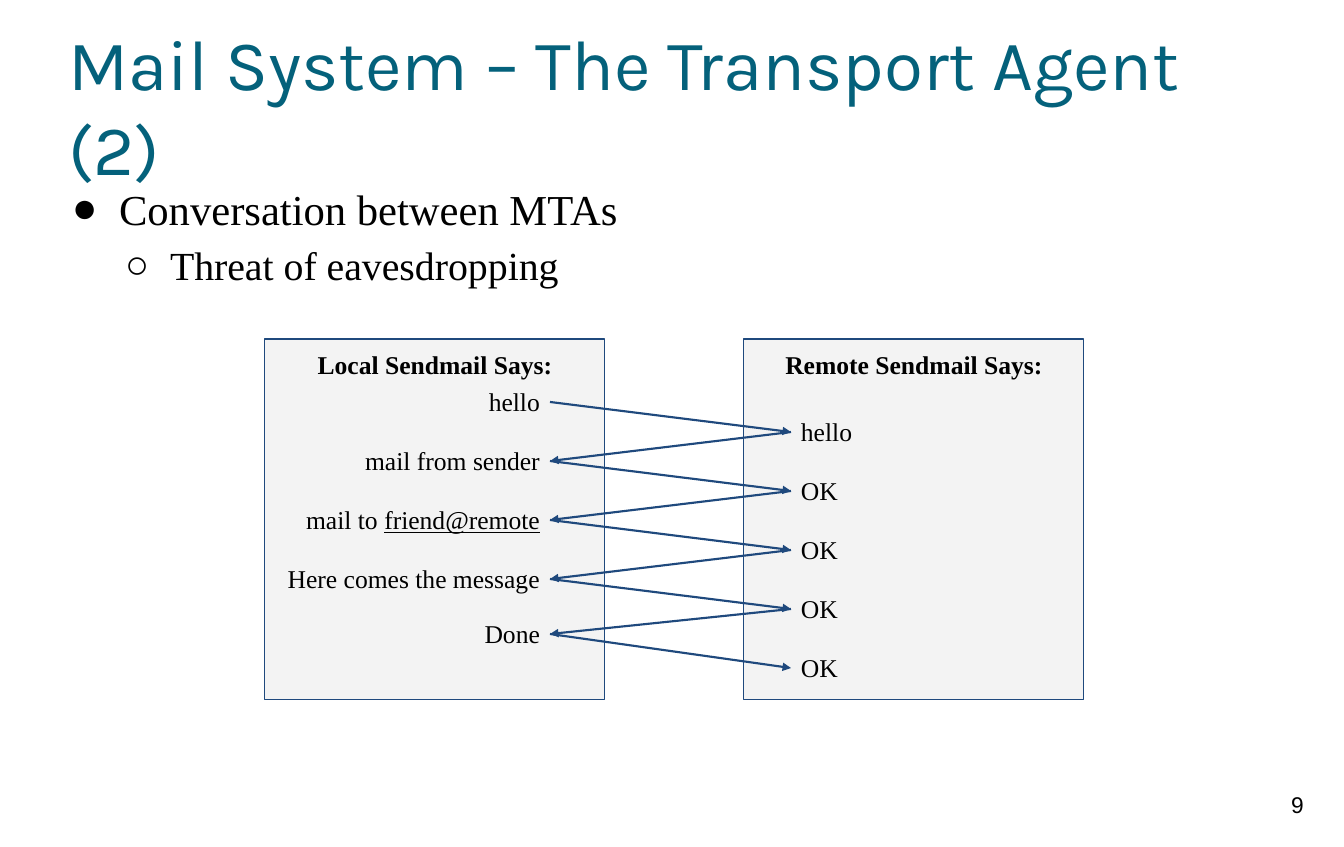
"""Build the slide on the conversation between mail transport agents."""
from dataclasses import dataclass
from itertools import chain, pairwise

from lxml.etree import SubElement
from pptx import Presentation
from pptx.dml.color import RGBColor as Rgb
from pptx.enum.shapes import MSO_CONNECTOR as Connector, MSO_SHAPE as Shape
from pptx.enum.text import MSO_ANCHOR as Anchor, MSO_AUTO_SIZE as AutoSize, PP_ALIGN as Align
from pptx.oxml.ns import qn
from pptx.util import Pt


@dataclass(frozen=True)
class Theme:
    title: Rgb = Rgb(0x04, 0x61, 0x7B)
    text: Rgb = Rgb(0, 0, 0)
    panel: Rgb = Rgb(0xF3, 0xF3, 0xF3)
    line: Rgb = Rgb(0x1F, 0x49, 0x7D)
    title_font: str = "Karla"
    text_font: str = "Times New Roman"
    number_font: str = "Arial"
    title_size: int = 50
    bullet_sizes: tuple = (30, 28)
    label_size: int = 18
    number_size: int = 16


THEME = Theme()
PX = 8930


def set_frame(shape, inset, anchor=Anchor.TOP):
    frame = shape.text_frame
    frame.word_wrap = True
    frame.auto_size = AutoSize.NONE
    frame.vertical_anchor = anchor
    frame.margin_left = frame.margin_right = inset * PX
    frame.margin_top = frame.margin_bottom = inset * PX
    return frame


def add_text(paragraph, text, size, font=THEME.text_font, color=THEME.text, align=Align.LEFT):
    paragraph.alignment = align
    run = paragraph.add_run()
    run.text = text
    run.font.size = Pt(size)
    run.font.name = font
    run.font.color.rgb = color
    return run


presentation = Presentation()
presentation.slide_width = 1344 * PX
presentation.slide_height = 847 * PX
slide = presentation.slides.add_slide(presentation.slide_layouts[1])
shapes = slide.shapes

title = shapes.title
title.left, title.top, title.width, title.height = 68 * PX, 34 * PX, 1209 * PX, 141 * PX
frame = set_frame(title, 0, Anchor.MIDDLE)
add_text(frame.paragraphs[0], "Mail System – The Transport Agent (2)",
         THEME.title_size, THEME.title_font, THEME.title)

body = slide.placeholders[1]
body.left, body.top, body.width, body.height = 68 * PX, 175 * PX, 1212 * PX, 108 * PX
frame = set_frame(body, 0)
bullets = [("Conversation between MTAs", "●", 51, -47), ("Threat of eavesdropping", "○", 102, -45)]
for level, (text, mark, margin, indent) in enumerate(bullets):
    paragraph = frame.add_paragraph() if level else frame.paragraphs[0]
    paragraph.level = level
    paragraph.line_spacing = 1.15
    paragraph.space_before = Pt(0)
    properties = paragraph._p.get_or_add_pPr()
    properties.set("marL", str(margin * PX))
    properties.set("indent", str(indent * PX))
    bullet_color = SubElement(properties, qn("a:buClr"))
    SubElement(bullet_color, qn("a:srgbClr"), val=str(THEME.text))
    SubElement(properties, qn("a:buFont"), typeface=THEME.text_font)
    SubElement(properties, qn("a:buChar"), char=mark)
    add_text(paragraph, text, THEME.bullet_sizes[level])

for left, heading in [(744, "Remote Sendmail Says:"), (265, "Local Sendmail Says:")]:
    panel = shapes.add_shape(Shape.RECTANGLE, left * PX, 339 * PX, 340 * PX, 361 * PX)
    panel.shadow.inherit = False
    panel.fill.solid()
    panel.fill.fore_color.rgb = THEME.panel
    panel.line.color.rgb = THEME.line
    panel.line.width = Pt(0.75)
    frame = set_frame(panel, 10)
    add_text(frame.paragraphs[0], heading, THEME.label_size, align=Align.CENTER).font.bold = True

LOCAL_RIGHT, REMOTE_LEFT, LABEL_HEIGHT, STEP = 550, 791, 52, 59
local_messages = [
    (["hello"], 92, 376),
    (["mail from sender"], 249, 376 + STEP),
    (["mail to ", "friend@remote"], 311, 376 + 2 * STEP),
    (["Here comes the message"], 340, 376 + 3 * STEP),
    (["Done"], 92, 608),
]
local_labels = []
for parts, width, top in local_messages:
    label = shapes.add_textbox((LOCAL_RIGHT - width) * PX, top * PX, width * PX, LABEL_HEIGHT * PX)
    frame = set_frame(label, 10)
    for part in parts:
        run = add_text(frame.paragraphs[0], part, THEME.label_size, align=Align.RIGHT)
        if "@" in part:
            run.font.underline = True
    local_labels.append(label)

remote_labels = []
for row, reply in enumerate(["hello", "OK", "OK", "OK", "OK"]):
    label = shapes.add_textbox(REMOTE_LEFT * PX, (406 + row * STEP) * PX, 92 * PX, LABEL_HEIGHT * PX)
    frame = set_frame(label, 10)
    add_text(frame.paragraphs[0], reply, THEME.label_size)
    remote_labels.append(label)

turns = chain.from_iterable(zip(local_labels, remote_labels))
for index, (sender, receiver) in enumerate(pairwise(turns)):
    arrow = shapes.add_connector(Connector.STRAIGHT, 0, 0, 0, 0)
    sides = (1, 3) if index % 2 else (3, 1)
    arrow.begin_connect(sender, sides[0])
    arrow.end_connect(receiver, sides[1])
    arrow.line.color.rgb = THEME.line
    arrow.line.width = Pt(1.5)
    SubElement(arrow.line._get_or_add_ln(), qn("a:tailEnd"), type="triangle")
    SubElement(arrow._element.spPr, qn("a:effectLst"))

number = shapes.add_textbox(1257 * PX, 781 * PX, 81 * PX, 65 * PX)
frame = set_frame(number, 10)
add_text(frame.paragraphs[0], "9", THEME.number_size, THEME.number_font, align=Align.CENTER)

presentation.save("out.pptx")
